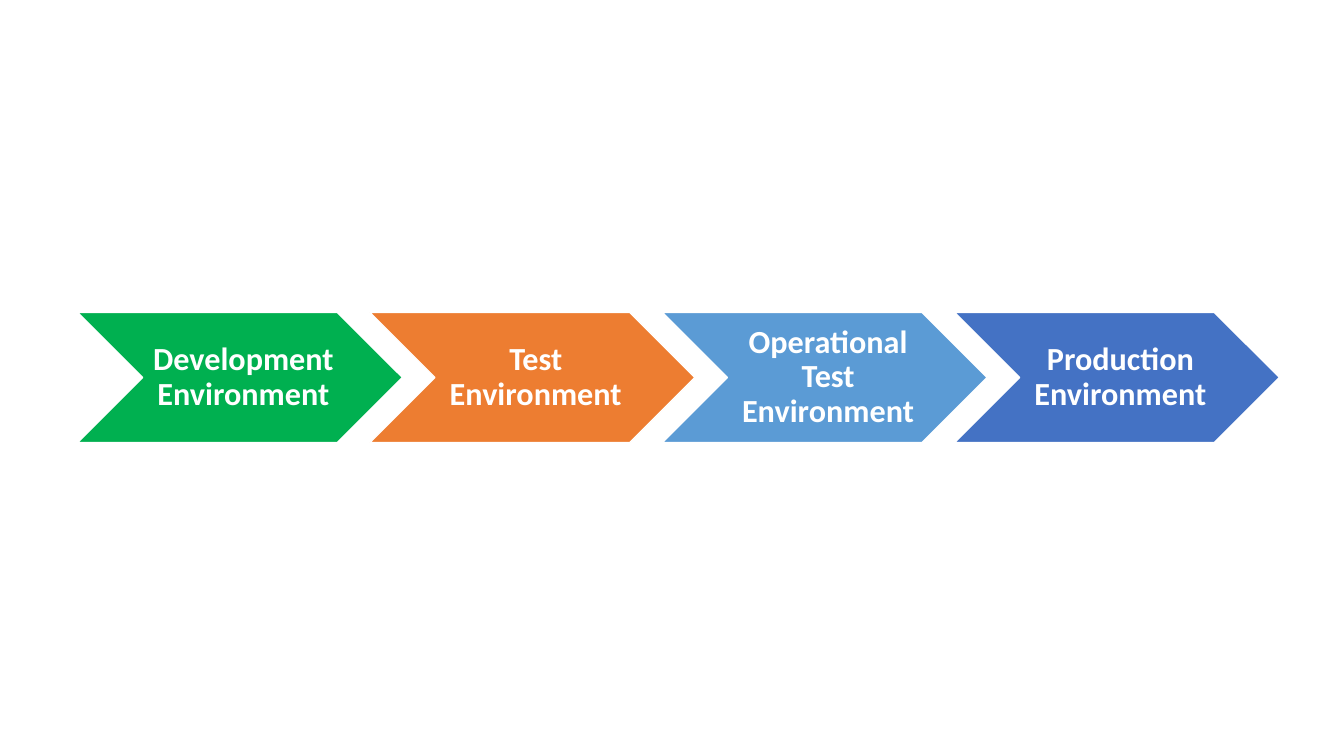
from pptx import Presentation
from pptx.dml.color import RGBColor
from pptx.enum.shapes import MSO_SHAPE
from pptx.enum.text import MSO_ANCHOR, PP_ALIGN
from pptx.util import Inches, Pt

STAGES = [
    ("Development Environment", "00B050"),
    ("Test Environment", "ED7D31"),
    ("Operational Test Environment", "5B9BD5"),
    ("Production Environment", "4472C4"),
]


def paint(color, code):
    color.rgb = RGBColor.from_string(code)


def add_stage(slide, left, top, width, height, label, code):
    # Chevron
    stage = slide.shapes.add_shape(
        MSO_SHAPE.CHEVRON, Inches(left), Inches(top), Inches(width), Inches(height))
    stage.shadow.inherit = False
    stage.fill.solid()
    paint(stage.fill.fore_color, code)
    paint(stage.line.color, "FFFFFF")
    stage.line.width = Pt(1)

    # Label
    frame = stage.text_frame
    frame.word_wrap = True
    frame.vertical_anchor = MSO_ANCHOR.MIDDLE
    frame.margin_left = Inches(0.1)
    frame.margin_right = frame.margin_top = frame.margin_bottom = Inches(0.03)
    para = frame.paragraphs[0]
    para.text = label
    para.alignment = PP_ALIGN.CENTER
    para.line_spacing = 0.9
    para.font.name = "Calibri"
    para.font.size = Pt(23)
    para.font.bold = True
    paint(para.font.color, "FFFFFF")


def add_flow(slide, left, top, width, height, stages):
    # Each stage overlaps the next by a tenth of its width
    span = width / (0.9 * len(stages) + 0.1)
    for i, (label, code) in enumerate(stages):
        add_stage(slide, left + 0.9 * span * i, top, span, height, label, code)


deck = Presentation()
deck.slide_width, deck.slide_height = Inches(13.33), Inches(7.5)
page = deck.slides.add_slide(deck.slide_layouts[6])
add_flow(page, 0.77, 3.1, 11.92, 1.29, STAGES)
deck.save("out.pptx")
